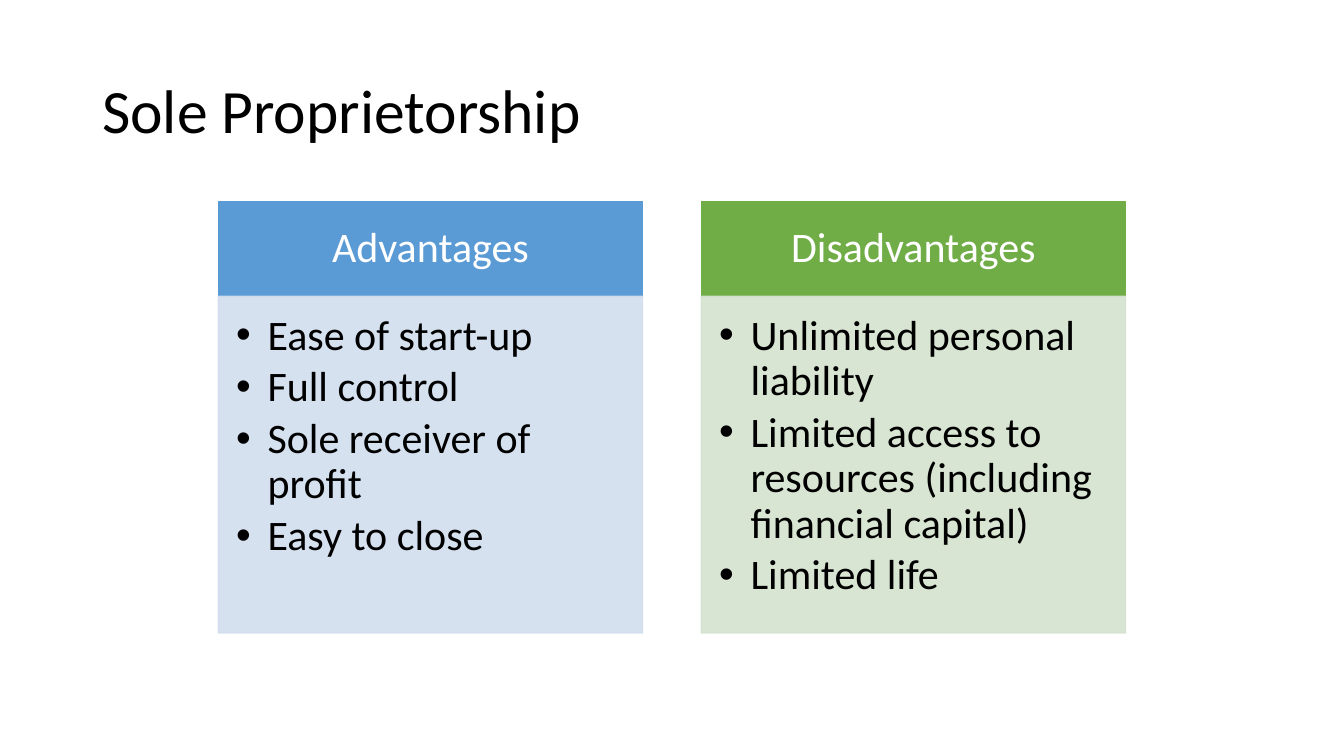
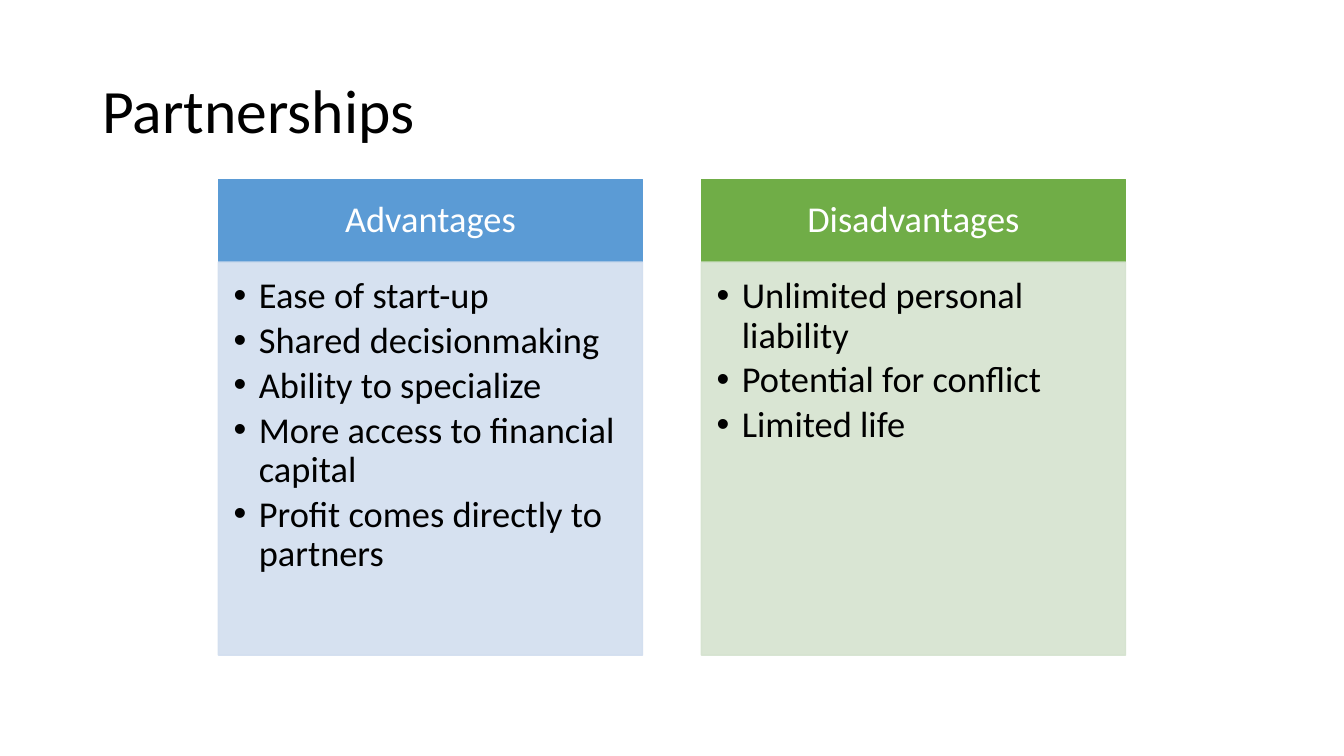
from lxml.etree import SubElement
from pptx import Presentation
from pptx.dml.color import RGBColor
from pptx.enum.shapes import MSO_SHAPE
from pptx.enum.text import MSO_ANCHOR as Anchor, PP_ALIGN as Align
from pptx.oxml.ns import qn
from pptx.util import Pt

# Shared style
FONT = "Calibri"
COLORS = {
    "text": "000000",
    "header_text": "FFFFFF",
    "Advantages": "5B9BD5",
    "Advantages tint": "D2DEEF",
    "Disadvantages": "70AD47",
    "Disadvantages tint": "D5E3CF",
}
TITLE_SIZE = 44
COLUMN_LEFT, COLUMN_WIDTH, COLUMN_GAP = 156, 303, 42
TINT_ALPHA = "90000"

# Slide content; the text size also sets insets and spacing
SLIDES = [
    {
        "title": "Sole Proprietorship",
        "size": 30, "indent": 22.5,
        "top": 144, "header_height": 67.7, "body_height": 240.5,
        "columns": {
            "Advantages": ["Ease of start-up", "Full control",
                           "Sole receiver of profit", "Easy to close"],
            "Disadvantages": [
                "Unlimited personal liability",
                "Limited access to resources (including financial capital)",
                "Limited life"],
        },
    },
    {
        "title": "Partnerships",
        "size": 26, "indent": 18,
        "top": 128.2, "header_height": 59, "body_height": 280.8,
        "columns": {
            "Advantages": ["Ease of start-up", "Shared decisionmaking",
                           "Ability to specialize",
                           "More access to financial capital",
                           "Profit comes directly to partners"],
            "Disadvantages": ["Unlimited personal liability",
                              "Potential for conflict", "Limited life"],
        },
    },
]


def write_text(shape, lines, size, color, anchor, align, space_after=0):
    """Fill a shape with one formatted paragraph per line."""
    frame = shape.text_frame
    frame.word_wrap = True
    frame.vertical_anchor = anchor
    frame.text = "\n".join(lines)
    for paragraph in frame.paragraphs:
        paragraph.alignment = align
        paragraph.line_spacing = 0.9
        paragraph.space_after = Pt(space_after)
        font = paragraph.runs[0].font
        font.name, font.size = FONT, Pt(size)
        font.color.rgb = RGBColor.from_string(COLORS[color])


def add_panel(slide, left, top, height, color, insets):
    """Add one column rectangle with left, top, right and bottom insets."""
    shape = slide.shapes.add_shape(
        MSO_SHAPE.RECTANGLE, Pt(left), Pt(top), Pt(COLUMN_WIDTH), Pt(height))
    shape.shadow.inherit = False
    shape.line.width = Pt(1)
    shape.fill.solid()
    for fill in (shape.fill, shape.line.fill):
        fill.solid()
        fill.fore_color.rgb = RGBColor.from_string(COLORS[color])
    frame = shape.text_frame
    (frame.margin_left, frame.margin_top,
     frame.margin_right, frame.margin_bottom) = [Pt(inset) for inset in insets]
    return shape


presentation = Presentation()
presentation.slide_width, presentation.slide_height = Pt(960), Pt(540)

for content in SLIDES:
    slide = presentation.slides.add_slide(presentation.slide_layouts[6])
    size = content["size"]

    # Title
    title = slide.shapes.add_textbox(Pt(66), Pt(28.8), Pt(828), Pt(104.4))
    write_text(title, [content["title"]], TITLE_SIZE, "text",
               Anchor.MIDDLE, Align.LEFT)

    for index, (heading, points) in enumerate(content["columns"].items()):
        left = COLUMN_LEFT + index * (COLUMN_WIDTH + COLUMN_GAP)

        # Column header
        side, edge = 0.56 * size, 0.32 * size
        header = add_panel(slide, left, content["top"],
                           content["header_height"], heading,
                           (side, edge, side, edge))
        write_text(header, [heading], size, "header_text",
                   Anchor.MIDDLE, Align.CENTER)

        # Column body, slightly transparent
        body = add_panel(slide, left, content["top"] + content["header_height"],
                         content["body_height"], f"{heading} tint",
                         (0.42 * size, 0.42 * size, side, 0.63 * size))
        write_text(body, points, size, "text", Anchor.TOP, Align.LEFT,
                   space_after=0.15 * size)
        for color in body.element.spPr.iter(qn("a:srgbClr")):
            SubElement(color, qn("a:alpha"), val=TINT_ALPHA)

        # Bullets with a hanging indent
        for paragraph in body.text_frame.paragraphs:
            properties = paragraph._p.get_or_add_pPr()
            indent = Pt(content["indent"])
            properties.set("marL", str(indent))
            properties.set("indent", str(-indent))
            SubElement(properties, qn("a:buFont"), typeface="Arial")
            SubElement(properties, qn("a:buChar"), char="•")

presentation.save("out.pptx")
